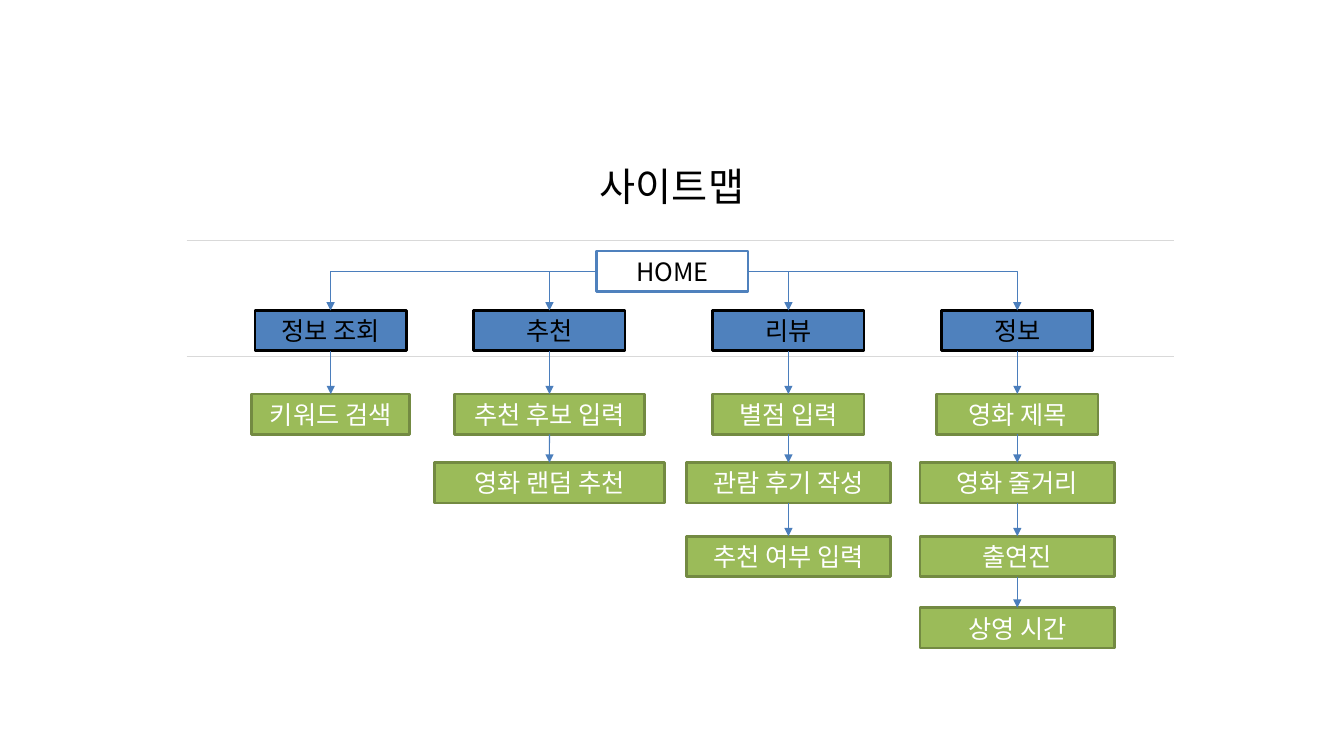
from dataclasses import dataclass

from lxml.etree import SubElement
from pptx import Presentation
from pptx.dml.color import RGBColor
from pptx.enum.shapes import MSO_CONNECTOR as CONN, MSO_SHAPE as SHAPE
from pptx.enum.text import MSO_ANCHOR as ANCHOR, PP_ALIGN as ALIGN
from pptx.oxml.ns import qn
from pptx.util import Inches, Pt


@dataclass(frozen=True)
class Theme:
    font: str = "Noto Sans CJK KR"
    title_size: float = 28
    box_size: float = 18
    box_line: float = 2
    thin_line: float = 0.75
    ink: str = "000000"
    rule: str = "D9D9D9"
    arrow: str = "4B7EBC"


THEME = Theme()
HOME = {"fill": "FFFFFF", "line": "4F81BD", "text": THEME.ink}
MENU = {"fill": "4F81BD", "line": "000000", "text": THEME.ink}
PAGE = {"fill": "9BBB59", "line": "738A42", "text": "FFFFFF"}

BOX_W, BOX_H = 1.5, 0.4
HOME_CENTER, HOME_TOP, MENU_TOP = 6.67, 2.49, 3.08
PAGE_TOPS = (3.91, 4.59, 5.32, 6.03)
RULE_LEFT, RULE_RIGHT, RULE_TOPS = 1.85, 11.64, (3.54, 2.39)
TOP, LEFT, BOTTOM, RIGHT = range(4)

SITEMAP = [
    ("정보 조회", 3.28, [("키워드 검색", 1.57)]),
    ("추천", 5.45, [("추천 후보 입력", 1.89), ("영화 랜덤 추천", 2.28)]),
    ("리뷰", 7.82, [("별점 입력", 1.5), ("관람 후기 작성", 2.02),
                  ("추천 여부 입력", 2.02)]),
    ("정보", 10.09, [("영화 제목", 1.6), ("영화 줄거리", 1.93),
                   ("출연진", 1.93), ("상영 시간", 1.93)]),
]


def write(sp, text, size, color):
    tf = sp.text_frame
    frame = {"word_wrap": True, "vertical_anchor": ANCHOR.MIDDLE,
             "margin_top": 0, "margin_bottom": 0}
    for name, value in frame.items():
        setattr(tf, name, value)
    p = tf.paragraphs[0]
    p.alignment = ALIGN.CENTER
    r = p.add_run()
    r.text = text
    for name, value in {"size": Pt(size), "name": THEME.font}.items():
        setattr(r.font, name, value)
    r.font.color.rgb = RGBColor.from_string(color)
    SubElement(r.font._element, qn("a:ea")).set("typeface", THEME.font)


def add_title(s, text):
    sp = s.shapes.add_textbox(Inches(0.42), Inches(1.38), Inches(12.49), Inches(0.93))
    write(sp, text, THEME.title_size, THEME.ink)


def add_box(s, text, center, top, style, width=BOX_W):
    sp = s.shapes.add_shape(SHAPE.RECTANGLE, Inches(center - width / 2), Inches(top),
                            Inches(width), Inches(BOX_H))
    sp.shadow.inherit = False
    sp.fill.solid()
    sp.fill.fore_color.rgb = RGBColor.from_string(style["fill"])
    sp.line.color.rgb = RGBColor.from_string(style["line"])
    sp.line.width = Pt(THEME.box_line)
    write(sp, text, THEME.box_size, style["text"])
    return sp


def add_line(s, kind, color, start=(0, 0), end=(0, 0)):
    points = [Inches(v) for v in (*start, *end)]
    line = s.shapes.add_connector(kind, *points)
    line.line.color.rgb = RGBColor.from_string(color)
    line.line.width = Pt(THEME.thin_line)
    SubElement(line._element.spPr, qn("a:effectLst"))
    return line


def add_arrow(s, source, site, target, kind=CONN.STRAIGHT):
    arrow = add_line(s, kind, THEME.arrow)
    arrow.begin_connect(source, site)
    arrow.end_connect(target, TOP)
    SubElement(arrow.line._get_or_add_ln(), qn("a:tailEnd")).set("type", "triangle")
    if kind == CONN.ELBOW:
        arrow._element.spPr.find(qn("a:prstGeom")).set("prst", "bentConnector2")


def add_branch(s, home, name, center, pages):
    menu = add_box(s, name, center, MENU_TOP, MENU)
    side = LEFT if center < HOME_CENTER else RIGHT
    add_arrow(s, home, side, menu, CONN.ELBOW)
    above = menu
    for (text, width), top in zip(pages, PAGE_TOPS):
        page = add_box(s, text, center, top, PAGE, width)
        add_arrow(s, above, BOTTOM, page)
        above = page


def main():
    prs = Presentation()
    prs.slide_width, prs.slide_height = Inches(13.33), Inches(7.5)
    s = prs.slides.add_slide(prs.slide_layouts[6])
    for top in RULE_TOPS:
        add_line(s, CONN.STRAIGHT, THEME.rule, (RULE_LEFT, top), (RULE_RIGHT, top))
    add_title(s, "사이트맵")
    home = add_box(s, "HOME", HOME_CENTER, HOME_TOP, HOME)
    for branch in SITEMAP:
        add_branch(s, home, *branch)
    prs.save("out.pptx")


if __name__ == "__main__":
    main()
